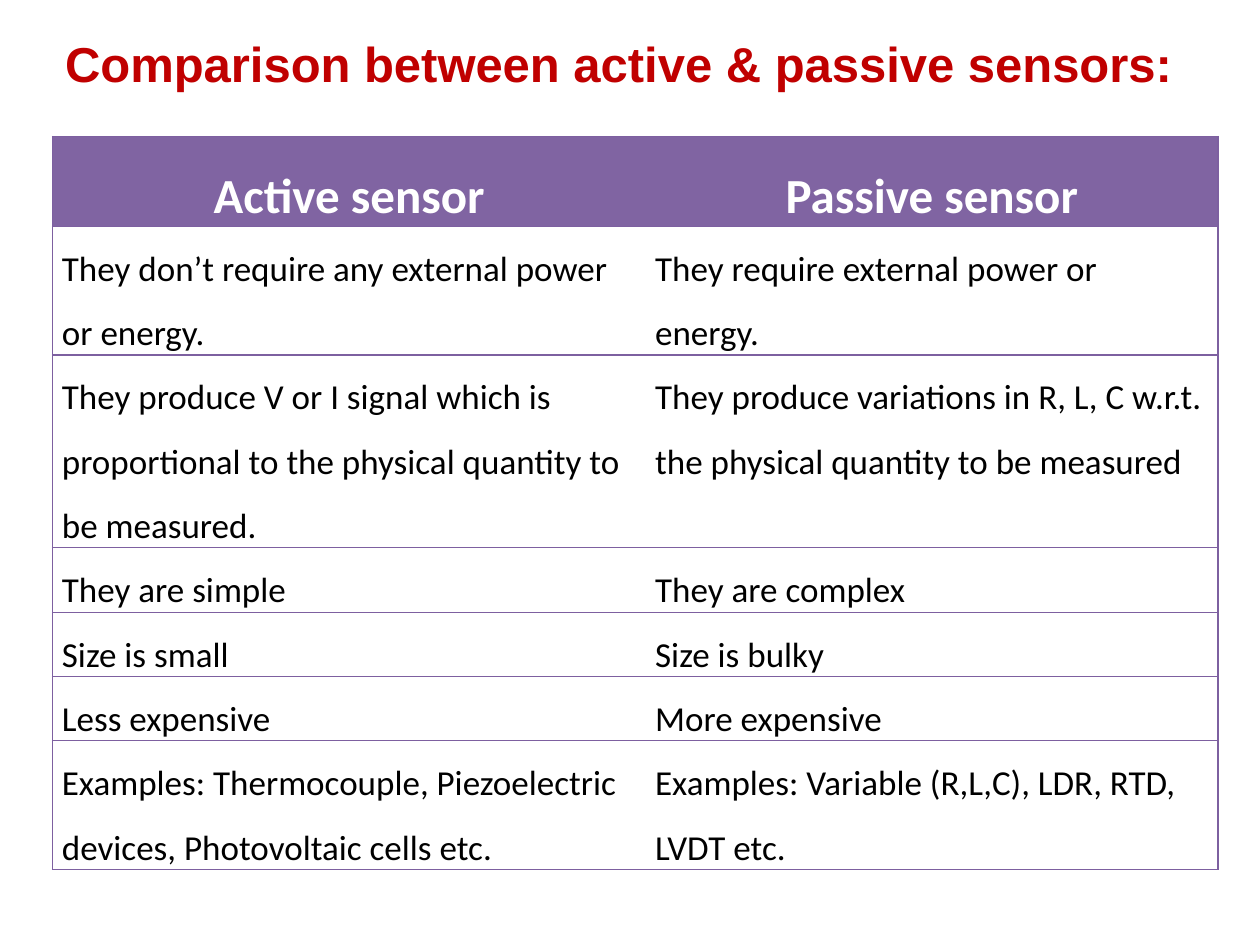
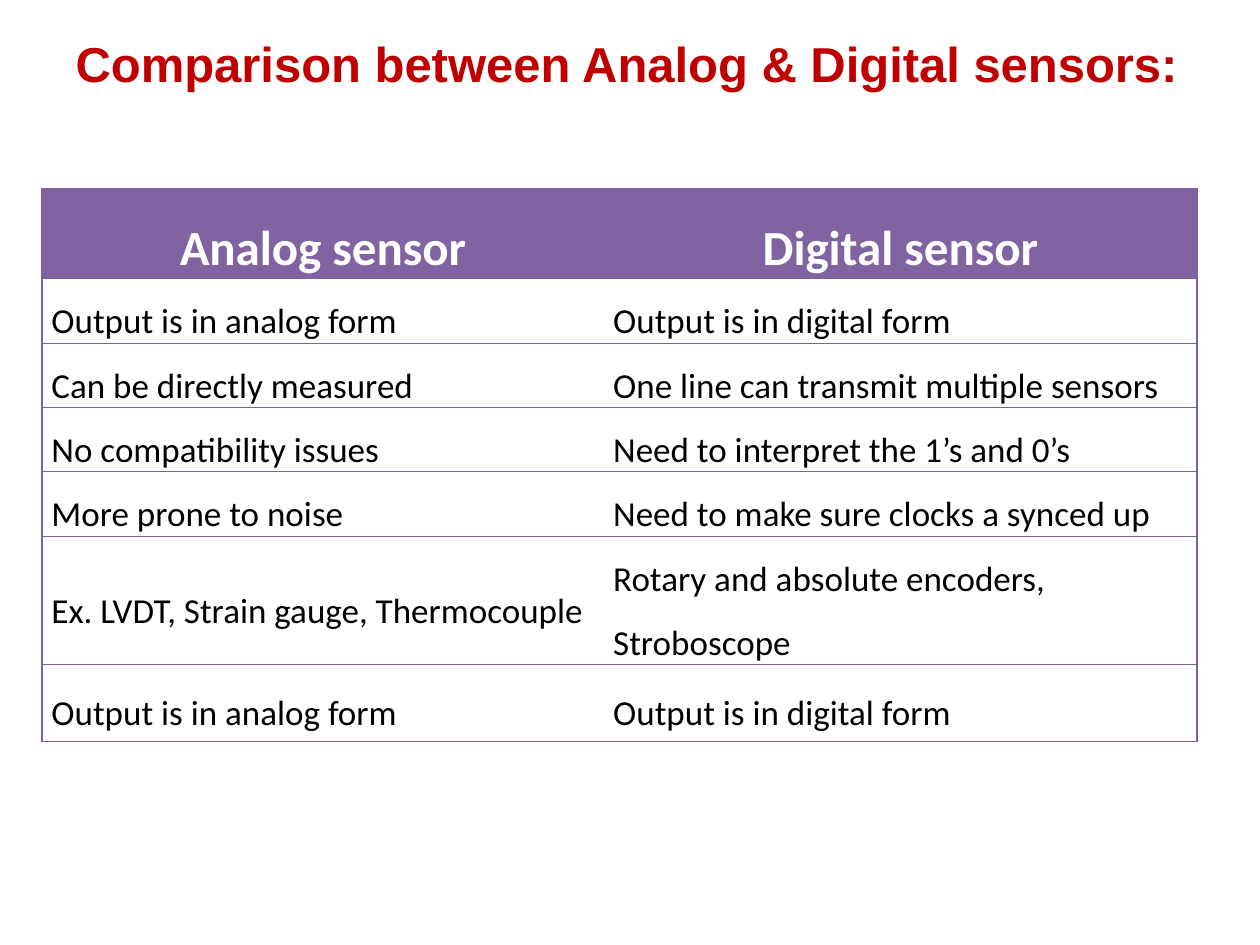
"""Build two slides that compare kinds of sensors in tables."""
from dataclasses import dataclass
from typing import Any

from lxml import etree
from pptx import Presentation
from pptx import util as u
from pptx.dml.color import RGBColor
from pptx.enum import text
from pptx.oxml import ns

PX = 7620
RED = RGBColor(0xC0, 0x00, 0x00)
PURPLE = RGBColor(0x80, 0x64, 0xA2)
EDGE = RGBColor(0x7D, 0x60, 0xA0)
WHITE = RGBColor(0xFF, 0xFF, 0xFF)
BLACK = RGBColor(0x00, 0x00, 0x00)
NO_GRID = "{2D5ABB26-0587-4C30-8999-92F81FD0307C}"
MID = text.MSO_ANCHOR.MIDDLE
TOP = text.MSO_ANCHOR.TOP
LEFT = text.PP_ALIGN.LEFT
MIDST = text.PP_ALIGN.CENTER

TITLE = {"name": "Arial", "size": u.Pt(28), "bold": True}
HEAD = {"name": "Calibri", "size": u.Pt(28), "bold": True}
BODY = {"name": "Calibri", "size": u.Pt(20), "bold": False}
PAD = {"margin_left": 9 * PX, "margin_right": 9 * PX,
       "margin_top": 0, "margin_bottom": 0}
SPACE = {"line_spacing": 1.5, "space_after": u.Pt(3)}


@dataclass(frozen=True)
class Page:
    """One slide: its title and its two-column table."""
    title: str
    left: int
    width: int
    spot: tuple[int, int]
    cols: tuple[int, ...]
    rows: tuple[int, ...]
    tall: int
    anchor: Any
    cells: tuple[tuple[str, str], ...]


PAGES = (
    Page("Comparison between active & passive sensors:", 50, 1100,
         (50, 130), (565, 545), (85, 40, 78, 40, 40, 40, 78), 685, TOP, (
             ("Active sensor", "Passive sensor"),
             ("They don’t require any external power or energy.",
              "They require external power or energy."),
             ("They produce V or I signal which is proportional to the "
              "physical quantity to be measured.",
              "They produce variations in R, L, C w.r.t. the physical "
              "quantity to be measured"),
             ("They are simple", "They are complex"),
             ("Size is small", "Size is bulky"),
             ("Less expensive", "More expensive"),
             ("Examples: Thermocouple, Piezoelectric devices, "
              "Photovoltaic cells etc.",
              "Examples: Variable (R,L,C), LDR, RTD, LVDT etc."))),
    Page("Comparison between Analog & Digital sensors:", 60, 1090,
         (40, 180), (535, 565), (80, 61, 47, 47, 56, 76, 73), 518, MID, (
             ("Analog sensor", "Digital sensor"),
             ("Output is in analog form", "Output is in digital form"),
             ("Can be directly measured",
              "One line can transmit multiple sensors"),
             ("No compatibility issues", "Need to interpret the 1’s and 0’s"),
             ("More prone to noise", "Need to make sure clocks a synced up"),
             ("Ex. LVDT, Strain gauge, Thermocouple",
              "Rotary and absolute encoders, Stroboscope"),
             ("Output is in analog form", "Output is in digital form"))),
)


def apply(item: Any, vals: dict[str, Any]) -> None:
    """Set each named attribute of an item."""
    for key, val in vals.items():
        setattr(item, key, val)


def write(para: Any, words: str, form: dict[str, Any], tint: RGBColor,
          align: Any) -> None:
    """Put formatted words in a paragraph."""
    run = para.add_run()
    run.text = words
    para.alignment = align
    apply(run.font, form)
    run.font.color.rgb = tint


def edge(cell: Any, sides: str) -> None:
    """Draw thin lines on the given sides of a cell."""
    props = cell._tc.get_or_add_tcPr()
    for side in sides:
        line = etree.SubElement(props, ns.qn(f"a:ln{side}"),
                                w=str(u.Pt(0.75)))
        fill = etree.SubElement(line, ns.qn("a:solidFill"))
        etree.SubElement(fill, ns.qn("a:srgbClr"), val=str(EDGE))


def fill_cell(cell: Any, words: str, head: bool, first: bool,
              anchor: Any) -> None:
    """Format one cell as a heading or as body text."""
    apply(cell, PAD)
    cell.vertical_anchor = MID if head else anchor
    edge(cell, "LTB" if first else "RTB")
    if head:
        cell.fill.solid()
        cell.fill.fore_color.rgb = PURPLE
    else:
        cell.fill.background()
    para = cell.text_frame.paragraphs[0]
    apply(para, SPACE)
    if head:
        write(para, words, HEAD, WHITE, MIDST)
    else:
        write(para, words, BODY, BLACK, LEFT)


def add_grid(slide: Any, page: Page) -> None:
    """Add the table of a page."""
    left, top = page.spot
    frame = slide.shapes.add_table(
        len(page.rows), len(page.cols), left * PX, top * PX,
        sum(page.cols) * PX, page.tall * PX)
    for style in frame.element.iter(ns.qn("a:tableStyleId")):
        style.text = NO_GRID
    grid = frame.table
    grid.horz_banding = False
    for col, wide in zip(grid.columns, page.cols):
        col.width = wide * PX
    for row, tall in zip(grid.rows, page.rows):
        row.height = tall * PX
    frame.height = page.tall * PX
    for i, line in enumerate(page.cells):
        for j, words in enumerate(line):
            fill_cell(grid.cell(i, j), words, i == 0, j == 0, page.anchor)


def add_title(slide: Any, page: Page) -> None:
    """Move and fill the title placeholder."""
    title = slide.shapes.title
    apply(title, {"left": page.left * PX, "top": 30 * PX,
                  "width": page.width * PX, "height": 60 * PX})
    frame = title.text_frame
    frame.vertical_anchor = MID
    write(frame.paragraphs[0], page.title, TITLE, RED, LEFT)


def main() -> None:
    """Build and save the slides."""
    deck = Presentation()
    apply(deck, {"slide_width": 1200 * PX, "slide_height": 900 * PX})
    for page in PAGES:
        slide = deck.slides.add_slide(deck.slide_layouts[5])
        add_title(slide, page)
        add_grid(slide, page)
    deck.save("out.pptx")


if __name__ == "__main__":
    main()
